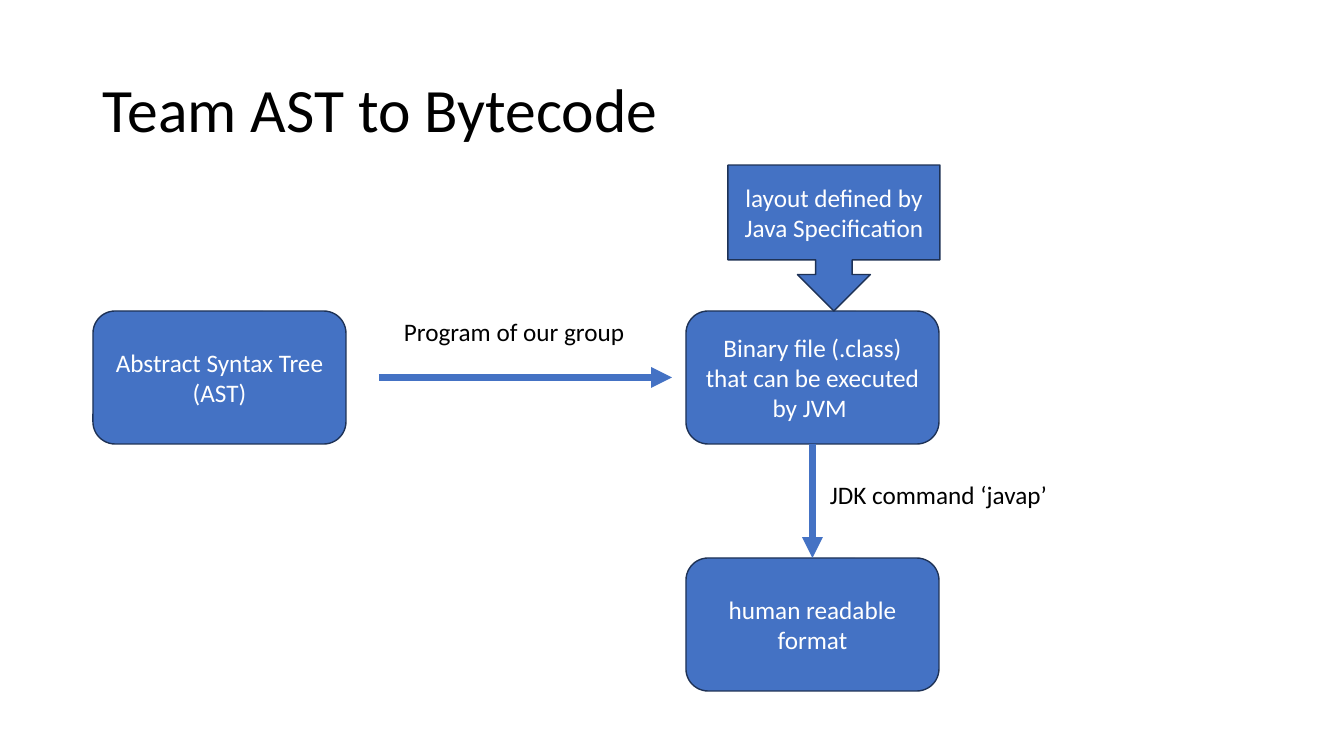
from lxml import etree
from pptx import Presentation, util as u
from pptx.dml.color import RGBColor
from pptx.enum import shapes, text
from pptx.oxml.ns import qn

SCALE = 914400 / 100.8  # EMU per pixel
FONT = "Calibri"
COLORS = {"fill": "4472C4", "outline": "1E3256", "light": "FFFFFF", "dark": "000000"}

# Shared box size and positions
BOX_W, BOX_H = 253, 133
LEFT_X, RIGHT_X = 93, 686
TOP_Y, BOTTOM_Y = 311, 558


def px(n):
    return u.Emu(round(n * SCALE))


def color(name):
    return RGBColor.from_string(COLORS[name])


def write(tf, lines, size, ink, align, anchor):
    tf.vertical_anchor = anchor
    for i, line in enumerate(lines):
        p = tf.paragraphs[0] if i == 0 else tf.add_paragraph()
        p.text = line
        p.alignment = align
        p.font.name = FONT
        p.font.size = u.Pt(size)
        p.font.color.rgb = color(ink)


def add_box(s, kind, x, y, w, h, *lines):
    sp = s.shapes.add_shape(kind, px(x), px(y), px(w), px(h))
    sp.shadow.inherit = False
    sp.fill.solid()
    sp.fill.fore_color.rgb = color("fill")
    sp.line.color.rgb = color("outline")
    sp.line.width = u.Pt(1)
    sp.text_frame.word_wrap = True
    write(sp.text_frame, lines, 18, "light", text.PP_ALIGN.CENTER, text.MSO_ANCHOR.MIDDLE)


def add_rounded(s, x, y, *lines):
    add_box(s, shapes.MSO_SHAPE.ROUNDED_RECTANGLE, x, y, BOX_W, BOX_H, *lines)


def add_title(s, x, y, w, h, title):
    tf = s.shapes.add_textbox(px(x), px(y), px(w), px(h)).text_frame
    tf.word_wrap = True
    write(tf, [title], 44, "dark", text.PP_ALIGN.LEFT, text.MSO_ANCHOR.MIDDLE)
    tf.paragraphs[0].line_spacing = 0.9


def add_label(s, x, y, w, h, label):
    tf = s.shapes.add_textbox(px(x), px(y), px(w), px(h)).text_frame
    tf.word_wrap = False
    tf.auto_size = text.MSO_AUTO_SIZE.SHAPE_TO_FIT_TEXT
    write(tf, [label], 18, "dark", text.PP_ALIGN.LEFT, text.MSO_ANCHOR.TOP)


def add_arrow(s, x1, y1, x2, y2):
    c = s.shapes.add_connector(shapes.MSO_CONNECTOR.STRAIGHT, px(x1), px(y1), px(x2), px(y2))
    c.line.color.rgb = color("fill")
    c.line.width = u.Pt(5)
    etree.SubElement(c.line._get_or_add_ln(), qn("a:tailEnd"), type="triangle")
    etree.SubElement(c._element.spPr, qn("a:effectLst"))


def main():
    prs = Presentation()
    prs.slide_width, prs.slide_height = px(1344), px(756)
    s = prs.slides.add_slide(prs.slide_layouts[6])

    add_title(s, 93, 40, 1159, 146, "Team AST to Bytecode")

    # Stages of the conversion
    add_rounded(s, LEFT_X, TOP_Y, "Abstract Syntax Tree", "(AST)")
    add_rounded(s, RIGHT_X, TOP_Y, "Binary file (.class) that can be executed by JVM ")
    add_rounded(s, RIGHT_X, BOTTOM_Y, "human readable format")

    # Callout resting on the binary file
    add_box(s, shapes.MSO_SHAPE.DOWN_ARROW_CALLOUT, 728, 165, 212, TOP_Y - 165,
            "layout defined by Java Specification")

    # Arrows with their labels
    mid_x, mid_y = RIGHT_X + BOX_W / 2, TOP_Y + BOX_H / 2
    add_arrow(s, 379, mid_y, 672, mid_y)
    add_label(s, 394, TOP_Y, 243, 40, "Program of our group")
    add_arrow(s, mid_x, TOP_Y + BOX_H, mid_x, BOTTOM_Y)
    add_label(s, 820, 474, 239, 40, "JDK command ‘javap’")

    prs.save("out.pptx")


main()
